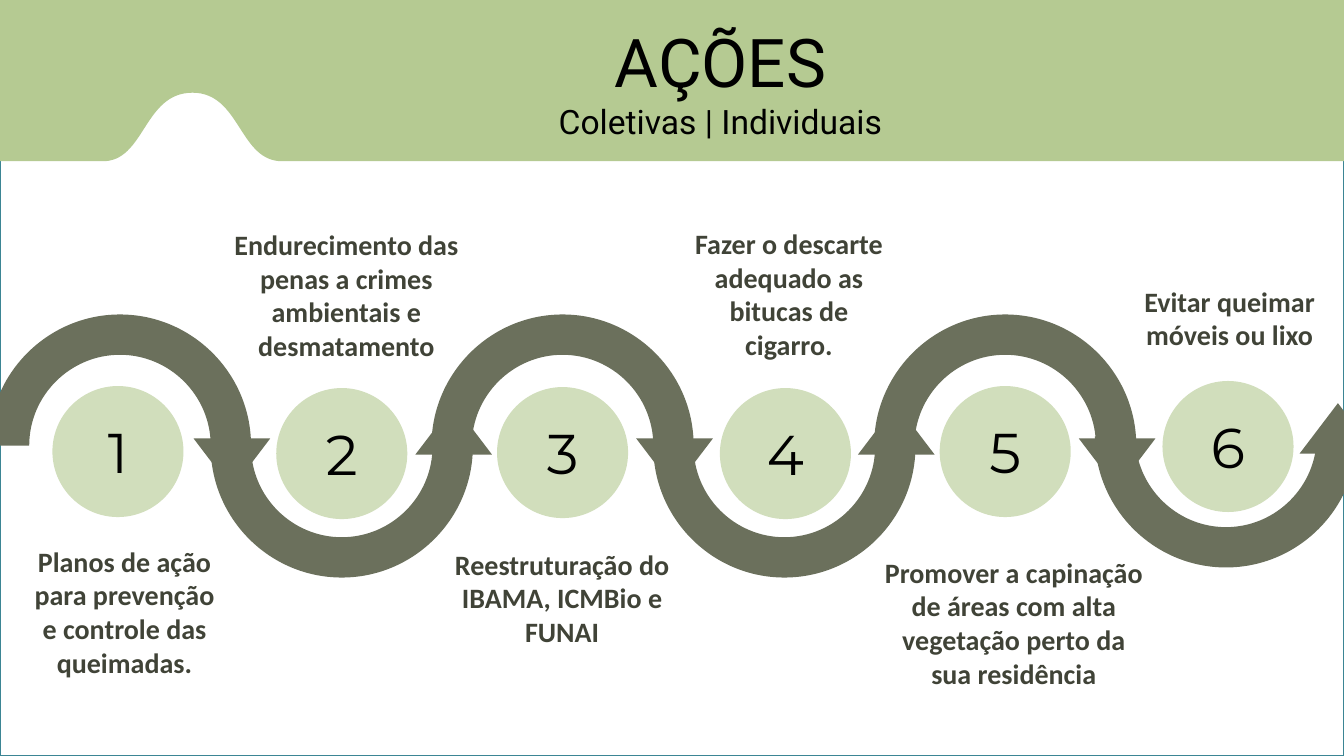
import lxml.etree
import pptx
import pptx.dml.color
import pptx.enum.shapes
import pptx.enum.text
import pptx.oxml.ns
import pptx.util

PX = 9144  # EMU in one px: 100 px to the inch
WIDTH, HEIGHT = 1333, 750
COLORS = {
    "white": "FFFFFF",
    "frame": "3B8594",
    "banner": "B5CA92",
    "wave": "6B705C",
    "disc": "D1DEBC",
    "label": "404337",
    "black": "000000",
}
SHAPES = pptx.enum.shapes.MSO_SHAPE
ANCHORS = pptx.enum.text.MSO_ANCHOR

OUTER_RADIUS, INNER_RADIUS = 130, 90
ROUNDNESS = 0.55  # handle length of a quarter circle, as a part of its radius
HEAD_WIDTH, HEAD_HEIGHT, HEAD_SHIFT = 76, 50, 111
DISC_SIZE = 130

# Disc left and top, wave centre and middle, arrowhead top, label box, label
STEPS = [
    (52, 383, 119, 442, 435, (18, 535, 211, 145),
     "Planos de ação para prevenção e controle das queimadas."),
    (274, 385, 339, 443, 401, (214, 221, 259, 145),
     "Endurecimento das penas a crimes ambientais e desmatamento"),
    (493, 384, 558, 442, 435, (428, 538, 259, 111),
     "Reestruturação do IBAMA, ICMBio e FUNAI"),
    (714, 385, 778, 443, 401, (673, 220, 219, 145),
     "Fazer o descarte adequado as bitucas de cigarro."),
    (932, 383, 997, 442, 435, (865, 546, 281, 145),
     "Promover a capinação de áreas com alta vegetação perto da sua residência"),
    (1153, 378, 1216, 433, 400, (1090, 277, 259, 77),
     "Evitar queimar móveis ou lixo"),
]


def color(name):
    return pptx.dml.color.RGBColor.from_string(COLORS[name])


def paint(shape, fill, line=None):
    shape.shadow.inherit = False
    shape.fill.solid()
    shape.fill.fore_color.rgb = color(fill)
    if line:
        shape.line.color.rgb = color(line)
        shape.line.width = pptx.util.Pt(1)
    else:
        shape.line.fill.background()


def add_preset(shapes, kind, left, top, width, height, fill, line=None):
    frame = [length * PX for length in (left, top, width, height)]
    shape = shapes.add_shape(kind, *frame)
    paint(shape, fill, line)
    return shape


def add_outline(shapes, start, pieces, fill):
    """Closed outline; a piece has one point for a line, three for a curve."""
    def scaled(point):
        return tuple(round(length * PX) for length in point)

    builder = shapes.build_freeform(*scaled(start), scale=1.0)
    builder.add_line_segments(
        [scaled(point) for piece in pieces for point in piece], close=True)
    shape = builder.convert_to_shape()
    qn = pptx.oxml.ns.qn
    lines = iter(list(shape.element.iter(qn("a:lnTo"))))
    for piece in pieces:
        first, *others = [next(lines) for _ in piece]
        if others:
            bend = lxml.etree.Element(qn("a:cubicBezTo"))
            first.addprevious(bend)
            for line in (first, *others):
                bend.append(line[0])
                line.getparent().remove(line)
    paint(shape, fill)


def write(frame, text, font="Calibri", sizes=(20,), ink="label", bold=False,
          anchor=ANCHORS.TOP):
    """Write one centred paragraph for each line, sized by the matching entry."""
    frame.word_wrap = True
    frame.vertical_anchor = anchor
    for index, (line, size) in enumerate(zip(text.split("\n"), sizes)):
        para = frame.add_paragraph() if index else frame.paragraphs[0]
        para.alignment = pptx.enum.text.PP_ALIGN.CENTER
        span = para.add_run()
        span.text = line
        span.font.name = font
        span.font.size = pptx.util.Pt(size)
        span.font.bold = bold
        span.font.color.rgb = color(ink)


def add_text(page, place, text, **style):
    box = page.shapes.add_textbox(*[length * PX for length in place])
    write(box.text_frame, text, **style)
    box.text_frame.auto_size = pptx.enum.text.MSO_AUTO_SIZE.SHAPE_TO_FIT_TEXT


def add_banner(page):
    left, right, top, bottom, peak = -1117, 1499, -3, 160, 92
    pieces = [
        [(281, bottom)],
        [(237, 161), (239, peak), (191, peak)],
        [(142, peak), (144, 161), (101, bottom)],
        [(left, bottom)],
        [(left, top)],
        [(right, top)],
    ]
    add_outline(page.shapes, (right, bottom), pieces, "banner")


def half_circle(center, middle, radius, side, rise):
    """Two curves from one side (-1 left, 1 right) across to the other."""
    near, far = center + side * radius, center - side * radius
    handle, crest = ROUNDNESS * radius, middle + rise * radius
    shoulder = middle + rise * handle
    return [
        [(near, shoulder), (center + side * handle, crest), (center, crest)],
        [(center - side * handle, crest), (far, shoulder), (far, middle)],
    ]


def add_wave(shapes, center, middle, head_top, goes_over):
    rise = -1 if goes_over else 1
    pieces = [
        *half_circle(center, middle, INNER_RADIUS, -1, rise),
        [(center + OUTER_RADIUS, middle)],
        *half_circle(center, middle, OUTER_RADIUS, 1, rise),
    ]
    add_outline(shapes, (center - INNER_RADIUS, middle), pieces, "wave")
    head = add_preset(shapes, SHAPES.ISOSCELES_TRIANGLE,
                      center + HEAD_SHIFT - HEAD_WIDTH // 2, head_top,
                      HEAD_WIDTH, HEAD_HEIGHT, "wave")
    head.rotation = 180 if goes_over else 0


def add_disc(page, number, left, top):
    disc = add_preset(page.shapes, SHAPES.OVAL, left, top, DISC_SIZE, DISC_SIZE, "disc")
    write(disc.text_frame, str(number), font="Montserrat", sizes=(40,), ink="black",
          anchor=ANCHORS.MIDDLE)


def main():
    deck = pptx.Presentation()
    deck.slide_width, deck.slide_height = WIDTH * PX, HEIGHT * PX
    page = deck.slides.add_slide(deck.slide_layouts[6])

    # Framed background and title banner
    add_preset(page.shapes, SHAPES.RECTANGLE, 0, 0, WIDTH, HEIGHT, "white", "frame")
    add_banner(page)

    # Winding path, last wave at the back
    path_group = page.shapes.add_group_shape()
    for index, step in reversed(list(enumerate(STEPS))):
        add_wave(path_group.shapes, *step[2:5], goes_over=index % 2 == 0)

    # Numbered discs
    for number, (left, top, *_) in enumerate(STEPS, start=1):
        add_disc(page, number, left, top)

    # Title and step labels
    add_text(page, (529, 15, 371, 131), "AÇÕES\nColetivas | Individuais",
             font="Roboto", sizes=(48, 24), ink="black")
    for *_, place, label in STEPS:
        add_text(page, place, label, bold=True)

    deck.save("out.pptx")


if __name__ == "__main__":
    main()
